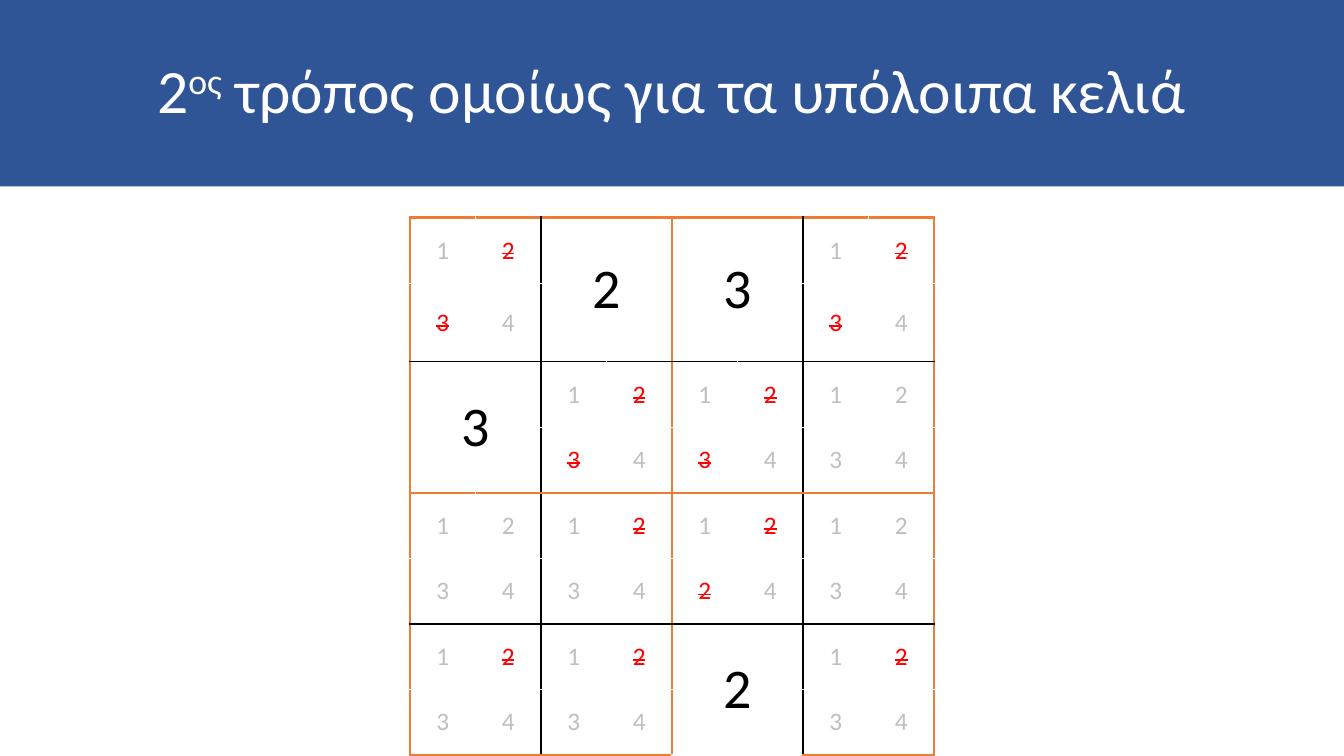
import dataclasses
import itertools

import pptx
import pptx.dml.color
import pptx.enum.text
import pptx.oxml
import pptx.oxml.ns
import pptx.util

Pt = pptx.util.Pt
CENTER = pptx.enum.text.PP_ALIGN.CENTER
MIDDLE = pptx.enum.text.MSO_ANCHOR.MIDDLE
BLUE, ORANGE, RED, GRAY = "2F5597", "ED7D31", "FF0000", "BFBFBF"
BLACK, WHITE = "000000", "FFFFFF"
SIDE = 46.8
TALL = 56.2


@dataclasses.dataclass(frozen=True)
class Cell:
    digits: str
    struck: str = ""


OPEN = Cell("1234")
NOT_TWO = Cell("1234", "2")
NEITHER = Cell("1234", "23")
BOARD = [
    [NEITHER, Cell("2"), Cell("3"), NEITHER],
    [Cell("3"), NEITHER, NEITHER, OPEN],
    [OPEN, NOT_TWO, Cell("1224", "2"), OPEN],
    [NOT_TWO, NOT_TWO, Cell("2"), NOT_TWO],
]


def color(code: str) -> pptx.dml.color.RGBColor:
    return pptx.dml.color.RGBColor.from_string(code)


def style(font, size: float, code: str) -> None:
    font.name = "Calibri"
    font.size = Pt(size)
    font.color.rgb = color(code)


def edge(line: int) -> tuple[str, float]:
    if line % 4 == 0:
        return ORANGE, 2.25
    return (BLACK, 1) if line % 2 == 0 else (WHITE, 1)


def border(cell, row: int, col: int) -> None:
    cell.fill.background()
    props = cell._tc.get_or_add_tcPr()
    sides = zip("LRTB", (col, col + 1, row, row + 1))
    for place, (side, line) in enumerate(sides):
        code, width = edge(line)
        props.insert(place, pptx.oxml.parse_xml(
            f'<a:ln{side} {pptx.oxml.ns.nsdecls("a")} w="{Pt(width)}">'
            f'<a:solidFill><a:srgbClr val="{code}"/></a:solidFill></a:ln{side}>'))


def write(cell, digit: str, size: float, code: str, struck: bool = False) -> None:
    cell.vertical_anchor = MIDDLE
    para = cell.text_frame.paragraphs[0]
    para.alignment = CENTER
    style(para.font, size, code)
    run = para.add_run()
    run.text = digit
    if struck:
        run._r.get_or_add_rPr().set("strike", "sngStrike")


def draw_title(slide) -> None:
    title = slide.shapes.title
    title.left, title.top, title.width, title.height = Pt(0), Pt(0), Pt(960), Pt(133.2)
    title.fill.solid()
    title.fill.fore_color.rgb = color(BLUE)
    title.line.fill.background()
    frame = title.text_frame
    frame.vertical_anchor = MIDDLE
    para = frame.paragraphs[0]
    para.alignment = CENTER
    para.line_spacing = 0.9
    style(para.font, 44, WHITE)
    for text in ("2", "ος", " τρόπος ομοίως για τα υπόλοιπα κελιά"):
        run = para.add_run()
        run.text = text
        if text == "ος":
            run._r.get_or_add_rPr().set("baseline", "30000")


def draw_board(slide) -> None:
    table = slide.shapes.add_table(
        8, 8, Pt(292.8), Pt(155.5), Pt(8 * SIDE), Pt(8 * SIDE)).table
    table.first_row = table.horz_banding = False
    for index in range(8):
        table.columns[index].width = Pt(SIDE)
        table.rows[index].height = Pt(TALL if index == 1 else SIDE)
    for row, col in itertools.product(range(8), repeat=2):
        border(table.cell(row, col), row, col)
    for row, col in itertools.product(range(4), repeat=2):
        entry = BOARD[row][col]
        first = table.cell(2 * row, 2 * col)
        if len(entry.digits) == 1:
            first.merge(table.cell(2 * row + 1, 2 * col + 1))
            write(first, entry.digits, 40, BLACK)
            continue
        for index, digit in enumerate(entry.digits):
            down, over = divmod(index, 2)
            struck = digit in entry.struck
            write(table.cell(2 * row + down, 2 * col + over), digit, 18,
                  RED if struck else GRAY, struck)


def main() -> None:
    deck = pptx.Presentation()
    deck.slide_width, deck.slide_height = Pt(960), Pt(540)
    slide = deck.slides.add_slide(deck.slide_layouts[5])
    draw_title(slide)
    draw_board(slide)
    deck.save("out.pptx")


if __name__ == "__main__":
    main()
